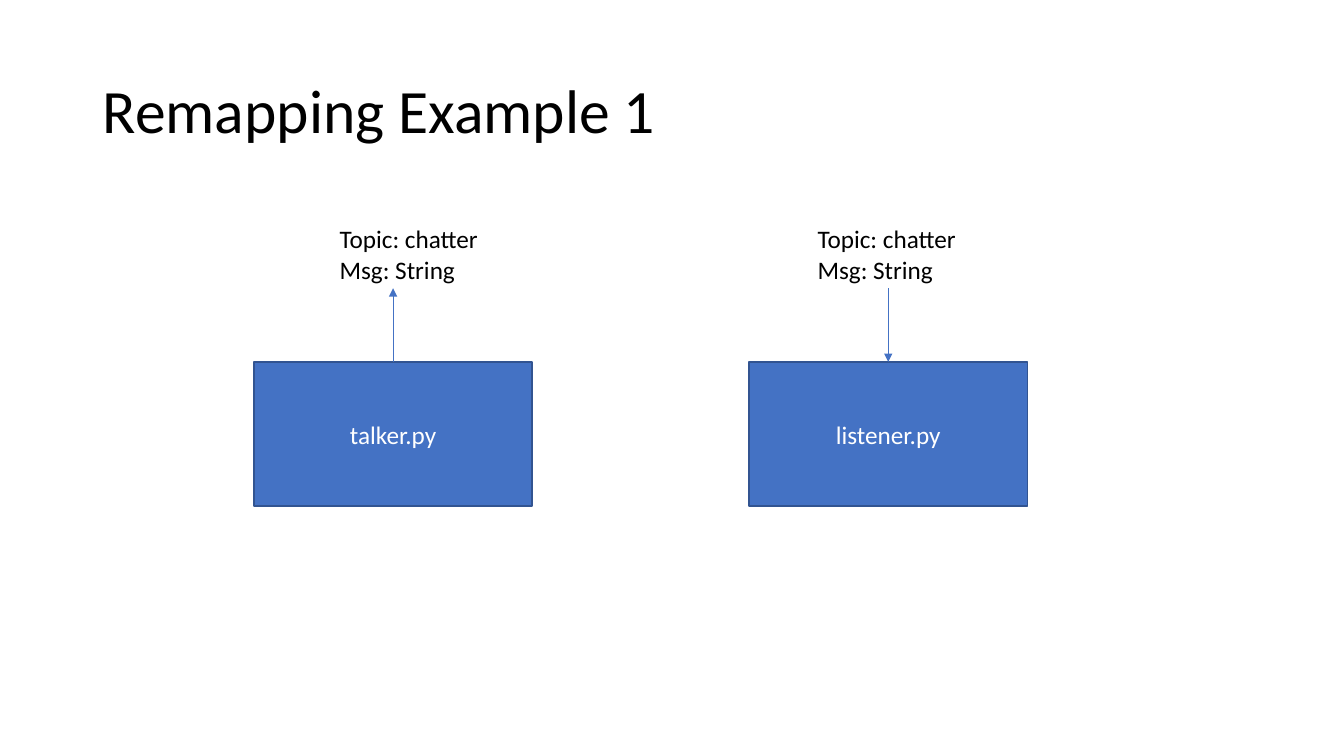
"""Build the slide that shows a talker and a listener sharing one topic."""
import pptx
import pptx.dml.color
import pptx.enum.shapes
import pptx.enum.text
import pptx.oxml.ns
import pptx.util
from lxml import etree

THEME = {
    "font": "Calibri",
    "ink": pptx.dml.color.RGBColor.from_string("000000"),
    "paper": pptx.dml.color.RGBColor.from_string("FFFFFF"),
    "accent": pptx.dml.color.RGBColor.from_string("4472C4"),
    "edge": pptx.dml.color.RGBColor.from_string("325491"),
    "title": pptx.util.Pt(44),
    "body": pptx.util.Pt(18),
    "border": pptx.util.Pt(1),
    "arrow": pptx.util.Pt(0.5),
}

deck = pptx.Presentation()
deck.slide_width = pptx.util.Inches(13.33)
deck.slide_height = pptx.util.Inches(7.5)
page = deck.slides.add_slide(deck.slide_layouts[6])


def place(left, top, width, height):
    """Turn percentages of the slide into lengths."""
    column, row = deck.slide_width / 100, deck.slide_height / 100
    return [round(share * unit) for share, unit in
            zip((left, top, width, height), (column, row, column, row))]


def write(box, lines, size, color, align=pptx.enum.text.PP_ALIGN.LEFT):
    """Fill a box with one paragraph for each line."""
    box.text_frame.text = "\n".join(lines)
    for para in box.text_frame.paragraphs:
        para.alignment = align
        para.font.name = THEME["font"]
        para.font.size = size
        para.font.color.rgb = color


title = page.shapes.add_textbox(*place(6.9, 5.33, 86.25, 19.33))
title.text_frame.word_wrap = True
title.text_frame.vertical_anchor = pptx.enum.text.MSO_ANCHOR.MIDDLE
write(title, ["Remapping Example 1"], THEME["title"], THEME["ink"])
title.text_frame.paragraphs[0].line_spacing = 0.9

NODE_TOP, NODE_WIDTH, ARROW_TOP = 47.87, 20.7, 38.13
for name, node_left, label_left, publishes in (
    ("talker.py", 18.9, 24.53, True),
    ("listener.py", 55.74, 60.09, False),
):
    node = page.shapes.add_shape(
        pptx.enum.shapes.MSO_SHAPE.RECTANGLE,
        *place(node_left, NODE_TOP, NODE_WIDTH, 19.07))
    node.shadow.inherit = False
    node.fill.solid()
    node.fill.fore_color.rgb = THEME["accent"]
    node.line.color.rgb = THEME["edge"]
    node.line.width = THEME["border"]
    node.text_frame.vertical_anchor = pptx.enum.text.MSO_ANCHOR.MIDDLE
    write(node, [name], THEME["body"], THEME["paper"], pptx.enum.text.PP_ALIGN.CENTER)

    label = page.shapes.add_textbox(*place(label_left, 28.93, 11.93, 9.47))
    label.text_frame.word_wrap = False
    label.text_frame.auto_size = pptx.enum.text.MSO_AUTO_SIZE.SHAPE_TO_FIT_TEXT
    write(label, ["Topic: chatter", "Msg: String"], THEME["body"], THEME["ink"])

    middle, upper = place(node_left + NODE_WIDTH / 2, ARROW_TOP, 0, 0)[:2]
    start, end = (node.top, upper) if publishes else (upper, node.top)
    arrow = page.shapes.add_connector(
        pptx.enum.shapes.MSO_CONNECTOR.STRAIGHT, middle, start, middle, end)
    if publishes:
        arrow.begin_connect(node, 0)
    else:
        arrow.end_connect(node, 0)
    arrow.line.color.rgb = THEME["accent"]
    arrow.line.width = THEME["arrow"]
    etree.SubElement(arrow.line._get_or_add_ln(), pptx.oxml.ns.qn("a:tailEnd"), type="triangle")
    etree.SubElement(arrow._element.spPr, pptx.oxml.ns.qn("a:effectLst"))

deck.save("out.pptx")
